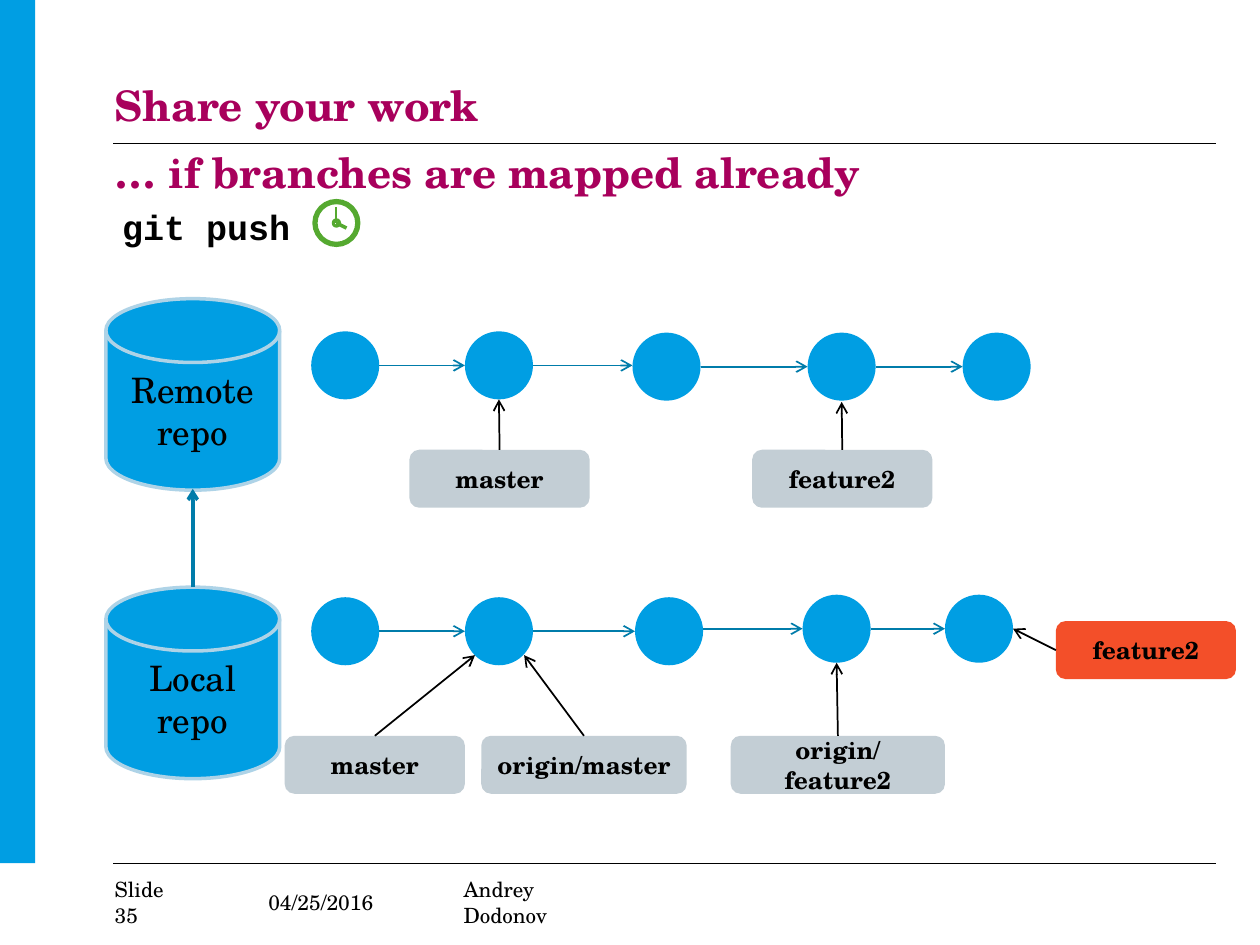
from itertools import pairwise

from pptx import Presentation
from pptx.dml.color import RGBColor
from pptx.enum.shapes import MSO_CONNECTOR, MSO_SHAPE
from pptx.enum.text import MSO_ANCHOR, MSO_AUTO_SIZE, PP_ALIGN
from pptx.oxml.ns import qn
from pptx.util import Inches, Pt
from lxml.etree import SubElement

BLUE = RGBColor(0x00, 0x9E, 0xE3)
PALE_BLUE = RGBColor(0xAE, 0xD3, 0xE7)
DARK_BLUE = RGBColor(0x00, 0x7C, 0xAA)
MAGENTA = RGBColor(0xA8, 0x00, 0x5C)
GREEN = RGBColor(0x55, 0xA9, 0x30)
GREY = RGBColor(0xC3, 0xCE, 0xD5)
ORANGE = RGBColor(0xF3, 0x4F, 0x29)
BLACK = RGBColor(0x00, 0x00, 0x00)

SERIF = "TeX Gyre Schola"
MONO = "Courier New"
COMMIT_SIZE = 0.54
LABEL_HEIGHT = 0.46


def format_text(frame, size, bold=False, color=BLACK, font=SERIF, align=PP_ALIGN.LEFT):
    for paragraph in frame.paragraphs:
        paragraph.alignment = align
        for run in paragraph.runs:
            run.font.name = font
            run.font.size = Pt(size)
            run.font.bold = bold
            run.font.color.rgb = color


def remove_insets(frame):
    frame.margin_left = frame.margin_right = 0
    frame.margin_top = frame.margin_bottom = 0


def format_heading(heading, text, top):
    heading.left, heading.top = Inches(0.91), Inches(top)
    heading.width, heading.height = Inches(8.74), Inches(0.39)
    frame = heading.text_frame
    frame.text = text
    frame.word_wrap = True
    frame.auto_size = MSO_AUTO_SIZE.NONE
    frame.vertical_anchor = MSO_ANCHOR.TOP
    remove_insets(frame)
    frame.paragraphs[0].line_spacing = 0.9
    format_text(frame, 24, True, MAGENTA)


def add_footer(slide, text, left, width):
    footer = slide.shapes.add_textbox(Inches(left), Inches(7.06), Inches(width), Inches(0.2))
    frame = footer.text_frame
    frame.text = text
    frame.word_wrap = False
    frame.vertical_anchor = MSO_ANCHOR.MIDDLE
    remove_insets(frame)
    format_text(frame, 12)


def add_command(slide, text):
    command = slide.shapes.add_textbox(Inches(0.87), Inches(1.58), Inches(1.55), Inches(0.44))
    command.text_frame.text = text
    command.text_frame.word_wrap = False
    format_text(command.text_frame, 20, True, font=MONO)


def add_figure(slide, kind, left, top, width, height, fill=None, line=None, line_width=1):
    figure = slide.shapes.add_shape(kind, Inches(left), Inches(top), Inches(width), Inches(height))
    figure.shadow.inherit = False
    if fill is None:
        figure.fill.background()
    else:
        figure.fill.solid()
        figure.fill.fore_color.rgb = fill
    if line is None:
        figure.line.fill.background()
    else:
        figure.line.color.rgb = line
        figure.line.width = Pt(line_width)
    return figure


def add_line(slide, start, end, color=BLACK, width=1.0, arrow=False):
    line = slide.shapes.add_connector(MSO_CONNECTOR.STRAIGHT, *map(Inches, start + end))
    line.line.color.rgb = color
    line.line.width = Pt(width)
    if arrow:
        SubElement(line.line._get_or_add_ln(), qn("a:tailEnd"), type="arrow")
    SubElement(line._element.spPr, qn("a:effectLst"))
    return line


def add_clock(slide, x, y):
    for size, weight in ((0.34, 3), (0.05, 1.75)):
        add_figure(slide, MSO_SHAPE.OVAL, x - size / 2, y - size / 2, size, size,
                   line=GREEN, line_width=weight)
    add_line(slide, (x, y), (x, y - 0.13), GREEN, 1.25)
    add_line(slide, (x + 0.08, y + 0.04), (x, y), GREEN, 2)


def add_repo(slide, text, top):
    repo = add_figure(slide, MSO_SHAPE.FLOWCHART_MAGNETIC_DISK, 0.84, top, 1.38, 1.52,
                      BLUE, PALE_BLUE, 2)
    repo.text_frame.text = text
    repo.text_frame.vertical_anchor = MSO_ANCHOR.MIDDLE
    format_text(repo.text_frame, 20, align=PP_ALIGN.CENTER)


def add_history(slide, centers):
    radius = COMMIT_SIZE / 2
    for x, y in centers:
        add_figure(slide, MSO_SHAPE.OVAL, x - radius, y - radius, COMMIT_SIZE, COMMIT_SIZE, BLUE)
    for (x, y), (next_x, next_y) in pairwise(centers):
        level = min(y, next_y)
        add_line(slide, (x + radius, level), (next_x - radius, level), DARK_BLUE, arrow=True)


def add_branch(slide, name, left, top, width, target, fill=GREY, side=0):
    branch = add_figure(slide, MSO_SHAPE.ROUNDED_RECTANGLE, left, top, width, LABEL_HEIGHT, fill)
    frame = branch.text_frame
    frame.text = name
    frame.word_wrap = True
    frame.vertical_anchor = MSO_ANCHOR.MIDDLE
    format_text(frame, 14, True, align=PP_ALIGN.CENTER)
    pointer = add_line(slide, (left, top), target, arrow=True)
    pointer.begin_connect(branch, side)


def main():
    presentation = Presentation()
    presentation.slide_width, presentation.slide_height = Inches(10), Inches(7.5)
    slide = presentation.slides.add_slide(presentation.slide_layouts[5])

    add_figure(slide, MSO_SHAPE.RECTANGLE, 0, 0, 0.28, 6.85, BLUE)
    for rule_y in (1.14, 6.85):
        add_line(slide, (0.9, rule_y), (9.65, rule_y), width=0.5)

    format_heading(slide.shapes.title, "Share your work", 0.68)
    subtitle = slide.shapes.add_textbox(0, 0, 0, 0)
    format_heading(subtitle, "… if branches are mapped already", 1.21)
    add_command(slide, "git push")
    add_clock(slide, 2.67, 1.77)

    add_repo(slide, "Remote\nrepo", 2.37)
    add_repo(slide, "Local\nrepo", 4.66)
    add_line(slide, (1.53, 4.66), (1.53, 3.88), DARK_BLUE, 2, arrow=True)

    add_history(slide, [(2.74, 2.9), (3.96, 2.9), (5.29, 2.91), (6.68, 2.91), (7.91, 2.91)])
    add_branch(slide, "master", 3.25, 3.57, 1.43, (3.96, 3.17))
    add_branch(slide, "feature2", 5.97, 3.57, 1.43, (6.68, 3.19))

    add_history(slide, [(2.74, 5.01), (3.96, 5.01), (5.31, 5.01), (6.64, 4.99), (7.77, 4.99)])
    add_branch(slide, "master", 2.26, 5.84, 1.43, (3.77, 5.2))
    add_branch(slide, "origin/master", 3.82, 5.84, 1.63, (4.16, 5.2))
    add_branch(slide, "origin/feature2", 5.8, 5.84, 1.7, (6.64, 5.26))
    add_branch(slide, "feature2", 8.38, 4.93, 1.43, (8.04, 4.99), ORANGE, side=1)

    add_footer(slide, "Slide 35", 0.91, 0.62)
    add_footer(slide, "04/25/2016", 2.13, 0.96)
    add_footer(slide, "Andrey Dodonov", 3.68, 1.26)

    presentation.save("out.pptx")


if __name__ == "__main__":
    main()
